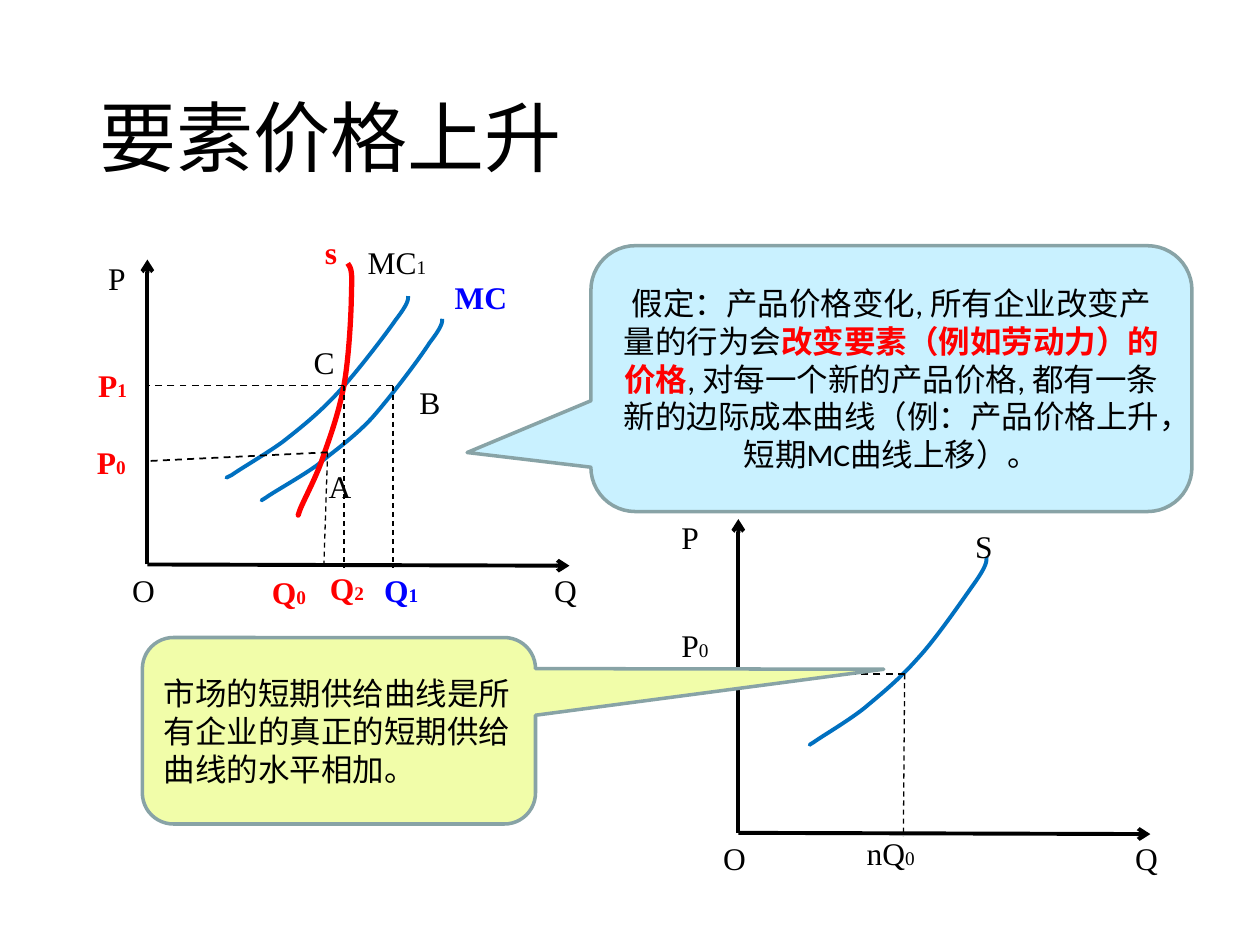
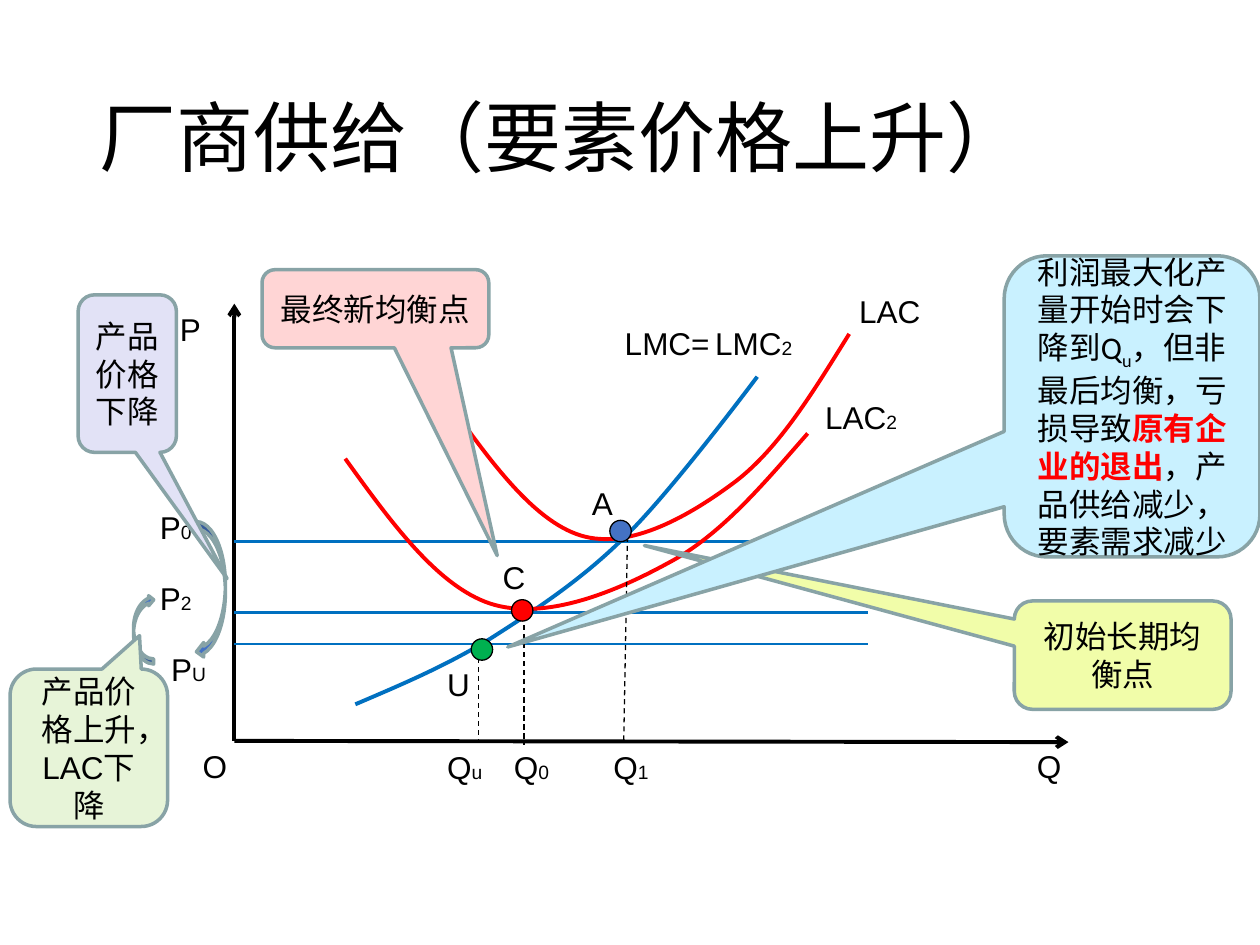
from lxml import etree
from pptx import Presentation
from pptx import util as u
from pptx.dml.color import RGBColor
from pptx.enum import dml, shapes, text
from pptx.oxml.ns import qn

PX = 9144
HUES = {
    "black": "000000", "red": "FF0000", "navy": "0000FF", "curve": "0070C0",
    "edge": "88A3A6", "sky": "C9F1FF", "lime": "F1FDA9", "lilac": "E2E2F6",
    "mint": "E7F4D8", "pink": "FFD5D5", "blue": "4472C4", "green": "00B050",
}
KIND = shapes.MSO_SHAPE


def hue(name):
    return RGBColor.from_string(HUES[name])


def px(*sizes):
    return [u.Emu(size * PX) for size in sizes]


class Deck:
    def __init__(self):
        self.deck = Presentation()
        self.deck.slide_width, self.deck.slide_height = px(1000, 750)

    def page(self, title, font):
        self.font = font
        self.slide = self.deck.slides.add_slide(self.deck.slide_layouts[6])
        frame = self.slide.shapes.add_textbox(*px(69, 40, 862, 145)).text_frame
        frame.word_wrap = True
        frame.vertical_anchor = text.MSO_ANCHOR.MIDDLE
        para = frame.paragraphs[0]
        para.line_spacing = 0.9
        self.run(para, title, size=44, font="Calibri")

    def run(self, para, words, size=18, tone="black", bold=False, font=None, base=0):
        run = para.add_run()
        run.text = words
        run.font.name = font or self.font
        run.font.size = u.Pt(size)
        run.font.bold = bold
        run.font.color.rgb = hue(tone)
        if base:
            run.font._element.set("baseline", str(base))

    def label(self, box, *bits, tone="black", bold=False):
        frame = self.slide.shapes.add_textbox(*px(*box)).text_frame
        frame.word_wrap = True
        frame.auto_size = text.MSO_AUTO_SIZE.SHAPE_TO_FIT_TEXT
        for i, bit in enumerate(bits):
            self.run(frame.paragraphs[0], bit, 11 if i % 2 else 18, tone, bold)

    def line(self, start, end, tone="black", width=1.0, dash=False, arrow=False):
        line = self.slide.shapes.add_connector(
            shapes.MSO_CONNECTOR.STRAIGHT, *px(*start, *end))
        line.line.color.rgb = hue(tone)
        line.line.width = u.Pt(width)
        if dash:
            line.line.dash_style = dml.MSO_LINE.DASH
        props = line._element.spPr
        if arrow:
            etree.SubElement(props.find(qn("a:ln")), qn("a:tailEnd"), type="arrow")
        etree.SubElement(props, qn("a:effectLst"))

    def axes(self, origin, top, right):
        for end in (top, right):
            self.line(origin, end, width=2.25, arrow=True)

    def curve(self, points, tone, width=2.25):
        pen = self.slide.shapes.build_freeform(*points[0], scale=PX)
        pen.add_line_segments(points[1:], close=False)
        shape = pen.convert_to_shape()
        route = shape._element.find(".//" + qn("a:path"))
        steps = route.findall(qn("a:lnTo"))
        for trio in zip(*[iter(steps)] * 3):
            bend = etree.SubElement(route, qn("a:cubicBezTo"))
            for step in trio:
                bend.append(step[0])
                route.remove(step)
        shape.fill.background()
        self.ink(shape, tone, width)

    def ink(self, shape, tone, width):
        shape.shadow.inherit = False
        shape.line.color.rgb = hue(tone)
        shape.line.width = u.Pt(width)

    def solid(self, kind, box, fill, edge="edge", width=2.0):
        shape = self.slide.shapes.add_shape(kind, *px(*box))
        shape.fill.solid()
        shape.fill.fore_color.rgb = hue(fill)
        self.ink(shape, edge, width)
        return shape

    def callout(self, box, tip, fill, *runs, font=None, left=False):
        shape = self.solid(KIND.ROUNDED_RECTANGULAR_CALLOUT, box, fill)
        for i, value in enumerate((*tip, 0.167)):
            shape.adjustments[i] = value
        frame = shape.text_frame
        frame.word_wrap = True
        frame.vertical_anchor = text.MSO_ANCHOR.MIDDLE
        para = frame.paragraphs[0]
        para.alignment = text.PP_ALIGN.LEFT if left else text.PP_ALIGN.CENTER
        for words, style in runs:
            self.run(para, words, font=font, **style)

    def sweep(self, box, turn=0):
        shape = self.solid(KIND.CURVED_RIGHT_ARROW, box, "blue")
        shape.rotation = turn
        shape._element.spPr.find(qn("a:xfrm")).set("flipH", "1")

    def dot(self, x, y, fill):
        self.solid(KIND.OVAL, (x, y, 17, 17), fill, "black", 0.75)


PLAIN = {}
STRONG = {"tone": "red", "bold": True}


def rise(d):
    d.page("要素价格上升", "Times New Roman")
    d.axes((117, 448), (117, 206), (452, 449))
    d.curve([(180, 379), (178, 380), (184, 377), (184, 377), (191, 372),
             (210, 361), (224, 351), (238, 340), (252, 329), (267, 313),
             (282, 297), (305, 267), (314, 254), (324, 241), (324, 238),
             (324, 235)], "curve")
    d.curve([(208, 397), (206, 398), (211, 395), (211, 395), (218, 390),
             (238, 379), (252, 369), (265, 358), (280, 348), (295, 332),
             (310, 315), (332, 286), (341, 272), (351, 259), (351, 256),
             (351, 253)], "curve")
    d.curve([(237, 408), (236, 411), (238, 405), (238, 405), (241, 397),
             (252, 377), (257, 361), (263, 344), (269, 327), (273, 306),
             (277, 284), (279, 247), (279, 230), (280, 214), (278, 212),
             (276, 209)], "red", 3)
    for start, end, width in (
            ((260, 359), (257, 451), 0.75), ((273, 306), (273, 451), 0.75),
            ((312, 306), (312, 451), 0.75), ((312, 306), (116, 306), 1),
            ((260, 359), (116, 366), 1)):
        d.line(start, end, width=width, dash=True)
    for box, *bits in (
            ((95, 448, 39, 29), "O"), ((430, 448, 39, 29), "Q"),
            ((76, 201, 34, 29), "P"), ((282, 188, 106, 50), "MC", "1"),
            ((323, 299, 61, 34), "B"), ((239, 267, 28, 34), "C"),
            ((251, 366, 28, 34), "A")):
        d.label(box, *bits)
    for box, tone, *bits in (
            ((351, 216, 84, 40), "navy", "MC"),
            ((248, 180, 39, 40), "red", "s"),
            ((67, 347, 62, 40), "red", "P", "0"),
            ((68, 286, 54, 40), "red", "P", "1"),
            ((206, 450, 78, 40), "red", "Q", "0"),
            ((252, 447, 69, 40), "red", "Q", "2"),
            ((295, 448, 82, 40), "navy", "Q", "1")):
        d.label(box, *bits, tone=tone, bold=True)

    d.axes((586, 661), (586, 412), (913, 662))
    d.curve([(643, 591), (641, 592), (646, 589), (646, 589), (653, 584),
             (672, 573), (686, 562), (699, 551), (713, 540), (728, 523),
             (743, 507), (764, 476), (774, 462), (783, 449), (783, 446),
             (783, 442)], "curve")
    d.line((718, 535), (717, 664), width=0.75, dash=True)
    d.line((718, 535), (587, 535), dash=True)
    for box, *bits in (
            ((564, 661, 38, 30), "O"), ((891, 661, 38, 30), "Q"),
            ((764, 413, 60, 35), "S"), ((531, 406, 33, 30), "P"),
            ((678, 657, 82, 46), "nQ", "0"), ((531, 492, 64, 45), "P", "0")):
        d.label(box, *bits)
    d.callout((469, 195, 477, 211), (-0.706, 0.278), "sky",
              ("假定：产品价格变化, 所有企业改变产量的行为会", PLAIN),
              ("改变要素（例如劳动力）的价格", STRONG),
              (", 对每一个新的产品价格, 都有一条新的边际成本曲线"
               "（例：产品价格上升，短期MC曲线上移）。", PLAIN), font="Calibri")
    d.callout((113, 506, 312, 148), (1.386, -0.33), "lime",
              ("市场的短期供给曲线是所有企业的真正的短期供给曲线的水平相加。",
               PLAIN), font="Arial", left=True)


def firm(d):
    d.page("厂商供给（要素价格上升）", "Arial")
    d.axes((186, 588), (186, 241), (848, 589))
    for y in (430, 486, 511):
        d.line((186, y), (689, y), "curve", 1.5)
    d.curve([(282, 559), (317, 544), (353, 529), (389, 507), (425, 484),
             (462, 460), (497, 425), (533, 390), (601, 299), (601, 299)], "curve")
    d.curve([(274, 364), (310, 414), (347, 465), (389, 479), (432, 493),
             (488, 470), (530, 447), (572, 425), (606, 384), (641, 344)], "red")
    d.curve([(350, 311), (386, 362), (422, 413), (461, 425), (500, 437),
             (548, 409), (584, 382), (619, 355), (646, 310), (674, 265)], "red")
    for start, end in (((380, 515), (380, 590)), ((498, 426), (495, 590)),
                       ((416, 489), (416, 591))):
        d.line(start, end, width=0.75, dash=True)
    for x, y, wide, *bits in (
            (477, 589, 62, "Q", "1"), (398, 589, 62, "Q", "0"),
            (345, 589, 62, "Q", "u"), (813, 588, 62, "Q"), (151, 588, 62, "O"),
            (133, 241, 62, "P"), (117, 398, 62, "P", "0"),
            (117, 455, 62, "P", "2"), (126, 511, 62, "P", "U"),
            (672, 227, 80, "LAC"), (645, 311, 115, "LAC", "2"),
            (486, 252, 185, "LMC=", " ", "LMC", "2"),
            (389, 438, 53, "C"), (345, 523, 53, "U"), (460, 379, 53, "A")):
        d.label((x, y, wide, 44), *bits)
    d.sweep((106, 472, 16, 55), 180)
    d.sweep((156, 414, 23, 109))
    d.callout((805, 477, 172, 86), (-2.207, -1.012), "lime",
              ("初始长期均衡点", PLAIN))
    d.callout((62, 234, 78, 125), (1.016, 1.302), "lilac",
              ("产品价格下降", PLAIN))
    d.callout((797, 203, 203, 239), (-2.441, 0.799), "sky",
              ("利润最大化产量开始时会下降到Q", PLAIN), ("u", {"base": -25000}),
              ("，但非最后均衡，亏损导致", PLAIN), ("原有企业的退出", STRONG),
              ("，产品供给减少，要素需求减少", PLAIN), font="Calibri")
    d.callout((8, 531, 125, 125), (0.322, -0.712), "mint",
              ("产品价格上升，LAC下降", PLAIN))
    d.callout((208, 214, 180, 62), (0.537, 3.16), "pink",
              ("最终新均衡点", PLAIN))
    for x, y, fill in ((374, 507, "green"), (484, 413, "blue"), (406, 476, "red")):
        d.dot(x, y, fill)


def main():
    d = Deck()
    rise(d)
    firm(d)
    d.deck.save("out.pptx")


if __name__ == "__main__":
    main()
